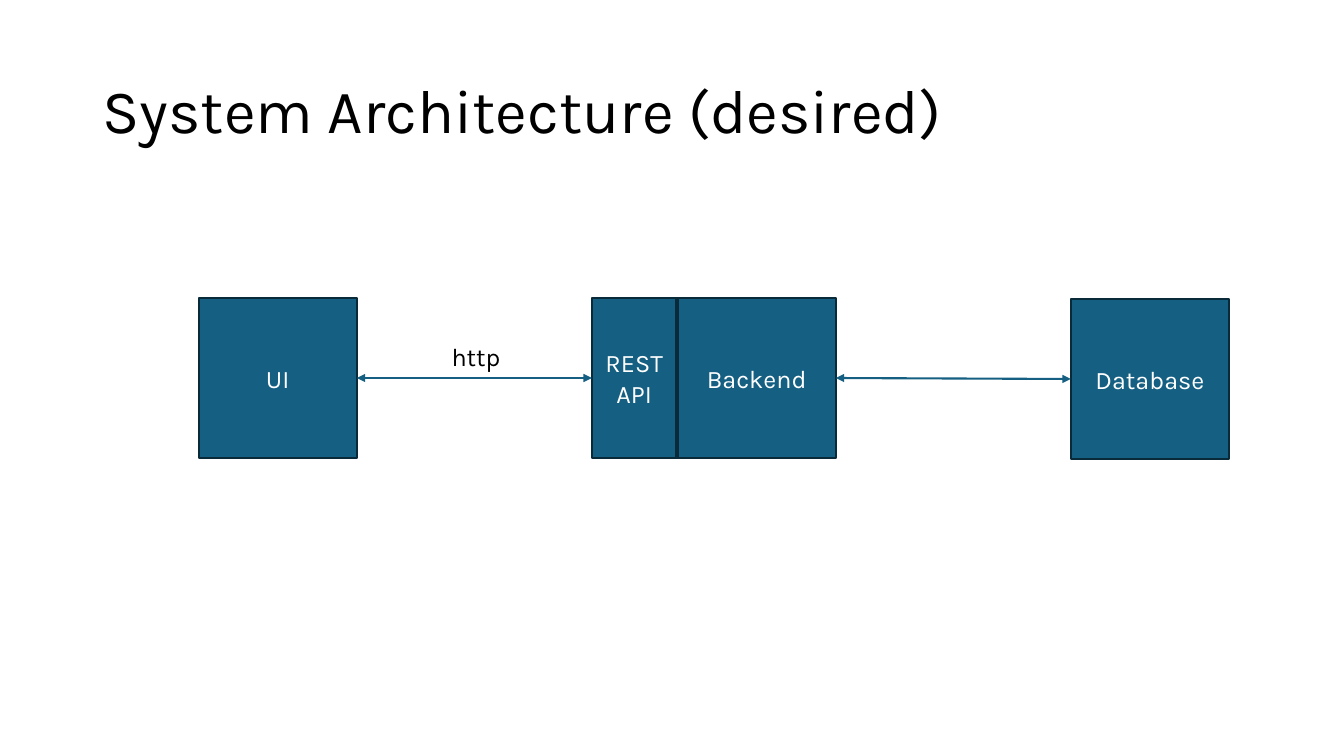
from pptx import Presentation
from pptx.util import Inches, Pt
from pptx.dml.color import RGBColor
from pptx.enum.shapes import MSO_CONNECTOR, MSO_SHAPE
from pptx.enum.text import MSO_ANCHOR, PP_ALIGN
from lxml.etree import SubElement
from pptx.oxml.ns import qn


def color(code):
    return RGBColor.from_string(code)


def write(shape, text, size, code, align, anchor):
    frame = shape.text_frame
    frame.word_wrap = True
    frame.vertical_anchor = anchor
    frame.text = text
    for para in frame.paragraphs:
        para.alignment = align
        para.font.name = "Karla"
        para.font.size = Pt(size)
        para.font.color.rgb = color(code)


deck = Presentation()
deck.slide_width, deck.slide_height = Inches(13.33), Inches(7.5)
slide = deck.slides.add_slide(deck.slide_layouts[6])
shapes = slide.shapes

# Title
title = shapes.add_textbox(Inches(0.92), Inches(0.4), Inches(11.5), Inches(1.45))
write(title, "System Architecture (desired)", 44, "000000", PP_ALIGN.LEFT, MSO_ANCHOR.MIDDLE)
title.text_frame.paragraphs[0].line_spacing = 0.9

# System parts
boxes = {}
for text, left, top, width in [
    ("Database", 10.62, 2.97, 1.57),
    ("UI", 1.97, 2.96, 1.57),
    ("Backend", 6.72, 2.96, 1.57),
    ("REST\nAPI", 5.87, 2.96, 0.84),
]:
    box = shapes.add_shape(MSO_SHAPE.RECTANGLE, Inches(left), Inches(top),
                           Inches(width), Inches(1.58))
    box.shadow.inherit = False
    box.fill.solid()
    box.fill.fore_color.rgb = color("156082")
    box.line.color.rgb = color("092A39")
    box.line.width = Pt(1.5)
    write(box, text, 18, "FFFFFF", PP_ALIGN.CENTER, MSO_ANCHOR.MIDDLE)
    boxes[text] = box

# Two-way arrows
for start, end in [("UI", "REST\nAPI"), ("Backend", "Database")]:
    link = shapes.add_connector(MSO_CONNECTOR.STRAIGHT, 0, 0, 0, 0)
    link.begin_connect(boxes[start], 3)
    link.end_connect(boxes[end], 1)
    link.line.color.rgb = color("156082")
    link.line.width = Pt(1.5)
    line = link.line._get_or_add_ln()
    for tip in ("a:headEnd", "a:tailEnd"):
        SubElement(line, qn(tip), type="triangle")
    SubElement(link._element.spPr, qn("a:effectLst"))

# Protocol label
label = shapes.add_textbox(Inches(4.38), Inches(3.34), Inches(0.92), Inches(0.41))
write(label, "http", 18, "000000", PP_ALIGN.LEFT, MSO_ANCHOR.TOP)

deck.save("out.pptx")
